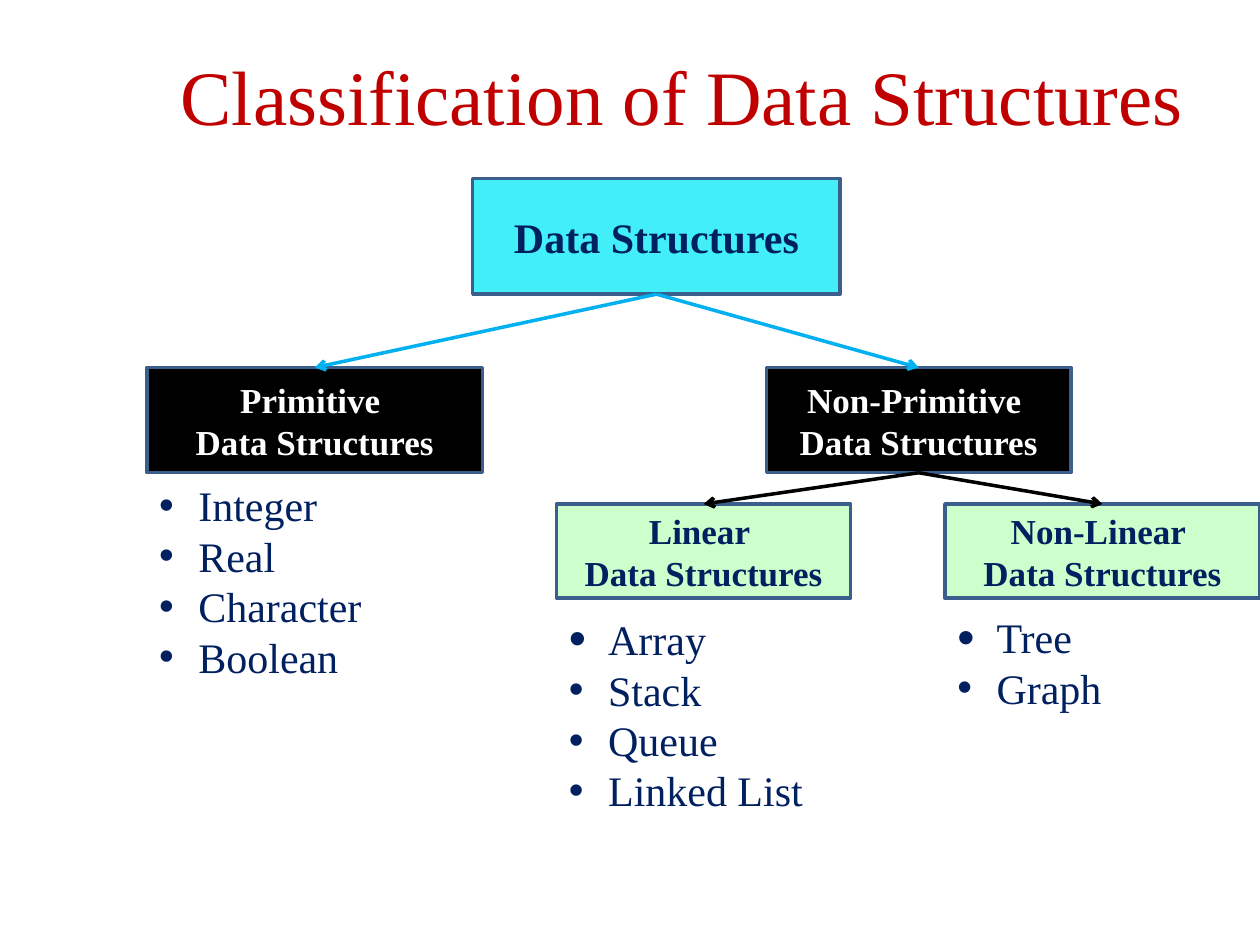
from dataclasses import dataclass

from lxml.etree import SubElement
from pptx import Presentation
from pptx.dml.color import RGBColor
from pptx.enum.shapes import MSO_CONNECTOR, MSO_SHAPE
from pptx.enum.text import MSO_ANCHOR, PP_ALIGN
from pptx.oxml.ns import qn
from pptx.util import Cm, Pt


@dataclass(frozen=True)
class Theme:
    font: str = "Times New Roman"
    title: str = "C00000"
    navy: str = "002060"
    white: str = "FFFFFF"
    black: str = "000000"
    cyan: str = "42EFF8"
    green: str = "CCFFCC"
    border: str = "3A5F8C"
    arrow: str = "00B0F0"
    title_size: int = 44
    large_size: int = 24
    small_size: int = 20
    line_width: int = 2
    leading: float = 1.2


THEME = Theme()
BOTTOM, TOP = 2, 0


@dataclass(frozen=True)
class Area:
    left: float
    top: float
    width: float
    height: float

    def lengths(self):
        return Cm(self.left), Cm(self.top), Cm(self.width), Cm(self.height)


@dataclass(frozen=True)
class Node:
    lines: tuple[str, ...]
    area: Area
    fill: str
    color: str
    size: int = THEME.small_size


@dataclass(frozen=True)
class Arrow:
    parent: str
    child: str
    color: str


@dataclass(frozen=True)
class BulletList:
    items: tuple[str, ...]
    area: Area
    first_line: float = THEME.large_size * THEME.leading
    first_bullet: int = 100


NODES = {
    "root": Node(("Data Structures",), Area(9.53, 3.6, 7.41, 2.33),
                 THEME.cyan, THEME.navy, THEME.large_size),
    "primitive": Node(("Primitive ", "Data Structures"), Area(2.96, 7.41, 6.77, 2.12),
                      THEME.black, THEME.white),
    "non_primitive": Node(("Non-Primitive ", "Data Structures"), Area(15.45, 7.41, 6.14, 2.12),
                          THEME.black, THEME.white),
    "linear": Node(("Linear ", "Data Structures"), Area(11.22, 10.16, 5.93, 1.9),
                   THEME.green, THEME.navy),
    "non_linear": Node(("Non-Linear ", "Data Structures"), Area(19.05, 10.16, 6.35, 1.9),
                       THEME.green, THEME.navy),
}
ARROWS = (
    Arrow("root", "non_primitive", THEME.arrow),
    Arrow("root", "primitive", THEME.arrow),
    Arrow("non_primitive", "linear", THEME.black),
    Arrow("non_primitive", "non_linear", THEME.black),
)
LISTS = (
    BulletList(("Integer", "Real", "Character", "Boolean"), Area(2.96, 9.55, 5.93, 4.37)),
    BulletList(("Array", "Stack", "Queue", "Linked List"), Area(11.22, 12.1, 5.93, 4.52), 33, 117),
    BulletList(("Tree", "Graph"), Area(19.05, 12.06, 5.93, 2.5), 33, 117),
)


def add_bullet(paragraph, percent: int) -> None:
    properties = paragraph._p.get_or_add_pPr()
    indent = Cm(0.79)
    properties.set("marL", str(indent))
    properties.set("indent", str(-indent))
    SubElement(properties, qn("a:buSzPct"), val=str(percent * 1000))
    SubElement(properties, qn("a:buFont"), typeface="Arial")
    SubElement(properties, qn("a:buChar"), char="•")


def write_text(shape, lines, *, size: int, color: str, bold: bool = False,
               align=PP_ALIGN.CENTER, anchor=MSO_ANCHOR.MIDDLE,
               first_line: float = 0, first_bullet: int = 0) -> None:
    """Write one paragraph per line; a non-zero first_bullet makes it a bullet list."""
    frame = shape.text_frame
    frame.word_wrap = True
    frame.vertical_anchor = anchor
    for index, line in enumerate(lines):
        paragraph = frame.add_paragraph() if index else frame.paragraphs[0]
        if first_bullet:
            add_bullet(paragraph, 100 if index else first_bullet)
        paragraph.alignment = align
        is_lead = index == 0 and first_line
        paragraph.line_spacing = Pt(first_line if is_lead else size * THEME.leading)
        run = paragraph.add_run()
        run.text = line
        run.font.name = THEME.font
        run.font.size = Pt(size)
        run.font.bold = bold
        run.font.color.rgb = RGBColor.from_string(color)


def draw_node(slide, node: Node):
    shape = slide.shapes.add_shape(MSO_SHAPE.RECTANGLE, *node.area.lengths())
    shape.shadow.inherit = False
    shape.fill.solid()
    shape.fill.fore_color.rgb = RGBColor.from_string(node.fill)
    shape.line.color.rgb = RGBColor.from_string(THEME.border)
    shape.line.width = Pt(THEME.line_width)
    write_text(shape, node.lines, size=node.size, color=node.color, bold=True)
    return shape


def draw_arrow(slide, parent, child, color: str) -> None:
    connector = slide.shapes.add_connector(MSO_CONNECTOR.STRAIGHT, 0, 0, 0, 0)
    connector.begin_connect(parent, BOTTOM)
    connector.end_connect(child, TOP)
    connector.line.color.rgb = RGBColor.from_string(color)
    connector.line.width = Pt(THEME.line_width)
    SubElement(connector.line._get_or_add_ln(), qn("a:tailEnd"), type="arrow")
    SubElement(connector._element.spPr, qn("a:effectLst"))


def draw_list(slide, bullets: BulletList) -> None:
    box = slide.shapes.add_textbox(*bullets.area.lengths())
    write_text(box, bullets.items, size=THEME.large_size, color=THEME.navy,
               align=PP_ALIGN.LEFT, anchor=MSO_ANCHOR.TOP,
               first_line=bullets.first_line, first_bullet=bullets.first_bullet)


def main() -> None:
    presentation = Presentation()
    presentation.slide_width, presentation.slide_height = Cm(25.4), Cm(19.05)
    slide = presentation.slides.add_slide(presentation.slide_layouts[6])

    title = slide.shapes.add_textbox(*Area(2.12, 0.85, 23.28, 2.13).lengths())
    write_text(title, ["Classification of Data Structures"],
               size=THEME.title_size, color=THEME.title)
    shapes = {name: draw_node(slide, node) for name, node in NODES.items()}
    for arrow in ARROWS:
        draw_arrow(slide, shapes[arrow.parent], shapes[arrow.child], arrow.color)
    for bullets in LISTS:
        draw_list(slide, bullets)
    presentation.save("out.pptx")


if __name__ == "__main__":
    main()
